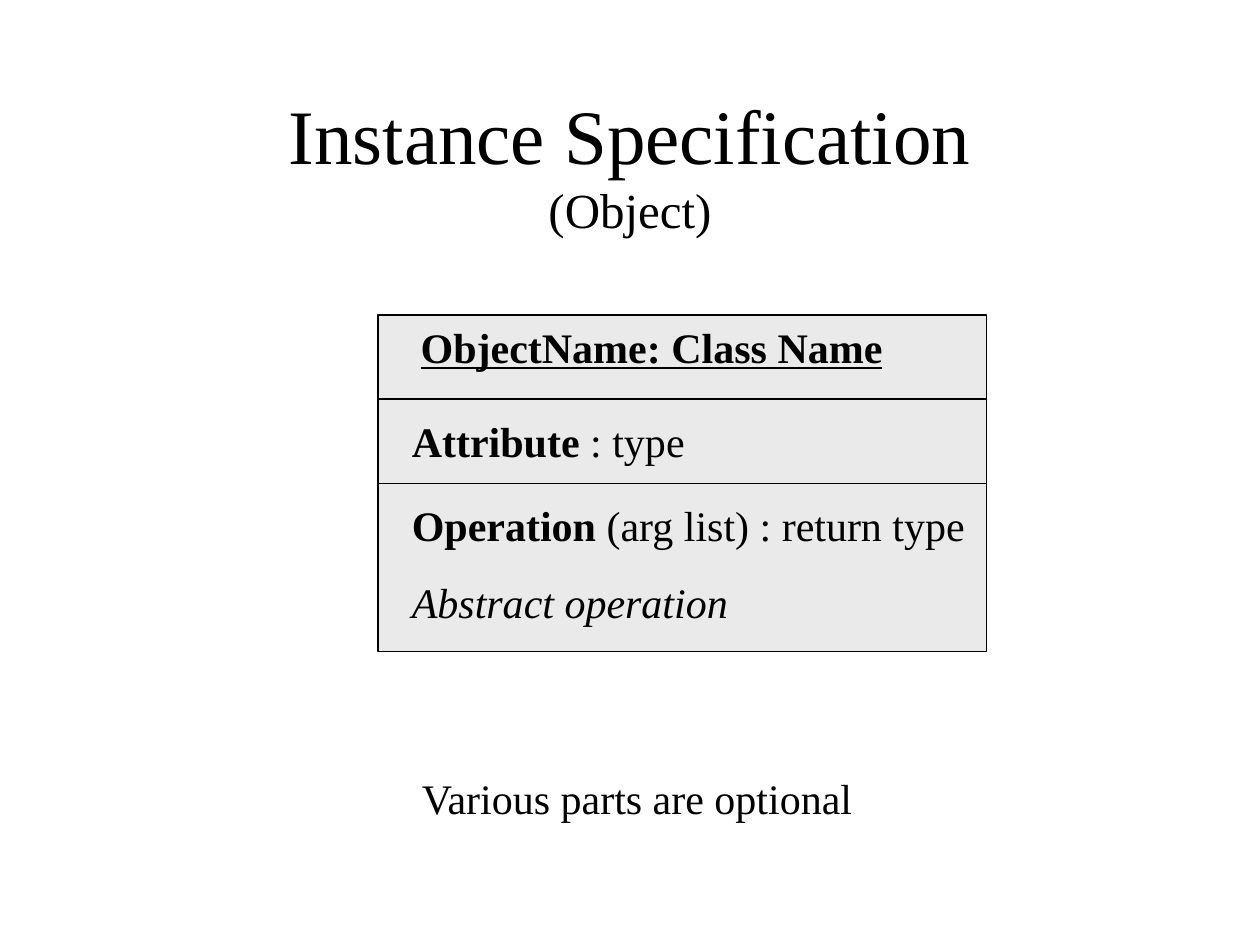
import dataclasses

import lxml.etree
import pptx
import pptx.dml.color
import pptx.enum.shapes
import pptx.enum.text
import pptx.oxml.ns
import pptx.util
from pptx.util import Inches


@dataclasses.dataclass(frozen=True)
class Theme:
    font: str = "Times New Roman"
    ink: pptx.dml.color.RGBColor = pptx.dml.color.RGBColor(0, 0, 0)
    panel: pptx.dml.color.RGBColor = pptx.dml.color.RGBColor(0xEA, 0xEA, 0xEA)
    title_size: pptx.util.Length = pptx.util.Pt(44)
    subtitle_size: pptx.util.Length = pptx.util.Pt(28)
    body_size: pptx.util.Length = pptx.util.Pt(24)
    body_gap: pptx.util.Length = pptx.util.Pt(15)
    outline: pptx.util.Length = pptx.util.Pt(0.75)


THEME = Theme()


def format_span(span, size, **styles):
    span.font.name = THEME.font
    span.font.size = size
    span.font.color.rgb = THEME.ink
    for style, value in styles.items():
        setattr(span.font, style, value)


def add_text(page, left, top, width, height, lines):
    box = page.shapes.add_textbox(Inches(left), Inches(top), Inches(width), Inches(height))
    frame = box.text_frame
    frame.word_wrap = True
    frame.auto_size = pptx.enum.text.MSO_AUTO_SIZE.SHAPE_TO_FIT_TEXT
    for index, line in enumerate(lines):
        para = frame.add_paragraph() if index else frame.paragraphs[0]
        para.space_before = THEME.body_gap
        for text, styles in line:
            span = para.add_run()
            span.text = text
            format_span(span, THEME.body_size, **styles)


def add_divider(page, left, top, width):
    line = page.shapes.add_connector(
        pptx.enum.shapes.MSO_CONNECTOR.STRAIGHT,
        Inches(left), Inches(top), Inches(left + width), Inches(top),
    )
    line.line.color.rgb = THEME.ink
    line.line.width = THEME.outline
    properties = line._element.spPr
    lxml.etree.SubElement(properties, pptx.oxml.ns.qn("a:effectLst"))


def place_title(page, left, top, width, height):
    title = page.shapes.title
    title.left, title.top = Inches(left), Inches(top)
    title.width, title.height = Inches(width), Inches(height)
    frame = title.text_frame
    frame.auto_size = pptx.enum.text.MSO_AUTO_SIZE.NONE
    frame.vertical_anchor = pptx.enum.text.MSO_ANCHOR.MIDDLE
    para = frame.paragraphs[0]
    para.text = "Instance Specification\v(Object)"
    para.alignment = pptx.enum.text.PP_ALIGN.CENTER
    for span, size in zip(para.runs, (THEME.title_size, THEME.subtitle_size)):
        format_span(span, size)


def add_object_box(page, left, top, width, height):
    panel = page.shapes.add_shape(
        pptx.enum.shapes.MSO_SHAPE.RECTANGLE,
        Inches(left), Inches(top), Inches(width), Inches(height),
    )
    panel.shadow.inherit = False
    panel.fill.solid()
    panel.fill.fore_color.rgb = THEME.panel
    panel.line.color.rgb = THEME.ink
    panel.line.width = THEME.outline

    row = height / 4
    indent = 0.17
    bold, italic = {"bold": True}, {"italic": True}
    add_text(page, left + 0.24, top, 4.45, 0.5,
             [[("ObjectName: Class Name", {"bold": True, "underline": True})]])
    add_text(page, left + indent, top + row + 0.08, 3.67, 0.5,
             [[("Attribute", bold), (" : type", {})]])
    add_text(page, left + indent, top + 2 * row + 0.08, width, 1.11,
             [[("Operation", bold), (" (arg list) : return type", {})],
              [("Abstract operation", italic)]])
    for count in (1, 2):
        add_divider(page, left, top + count * row, width)


def main():
    deck = pptx.Presentation()
    deck.slide_width, deck.slide_height = Inches(10), Inches(7.5)
    page = deck.slides.add_slide(deck.slide_layouts.get_by_name("Title Only"))
    place_title(page, 0.75, 0.67, 8.5, 1.25)
    add_object_box(page, 3, 2.5, 4.83, 2.67)
    add_text(page, 3.25, 6.08, 4.58, 0.5, [[("Various parts are optional", {})]])
    deck.save("out.pptx")


if __name__ == "__main__":
    main()
